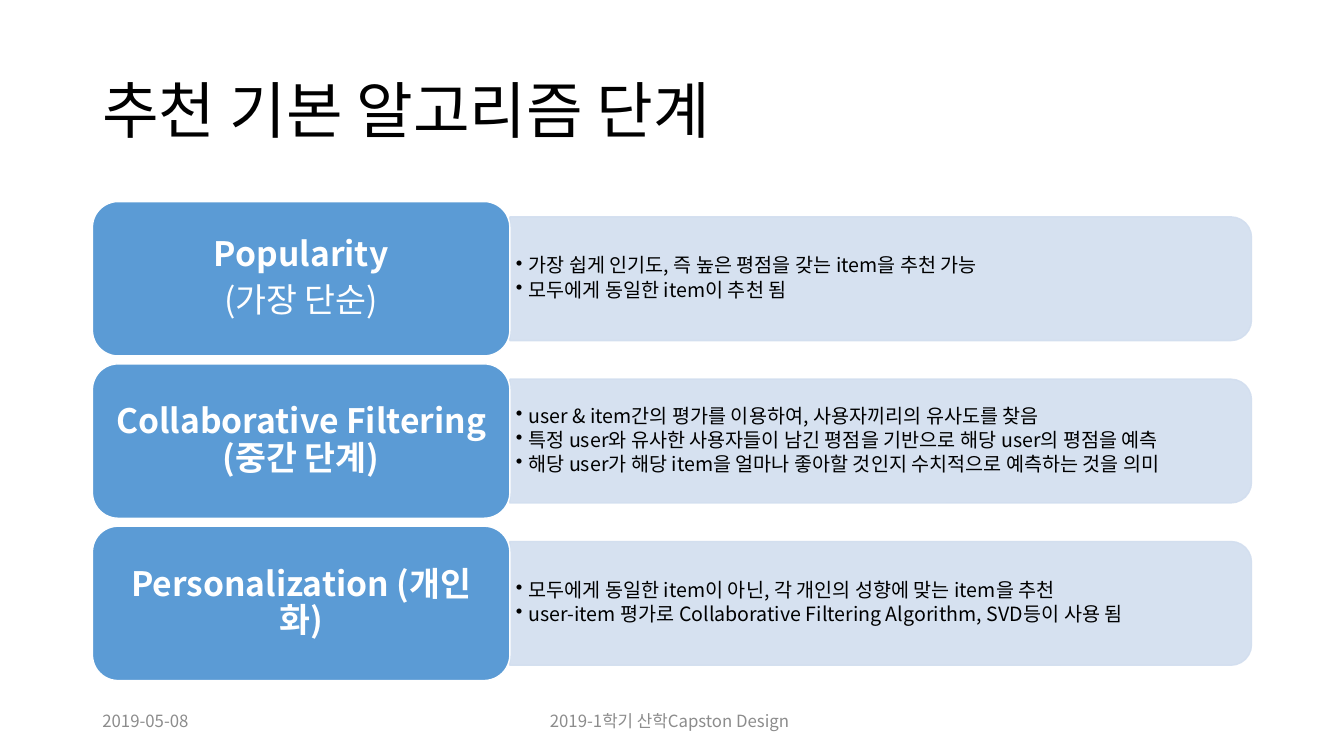
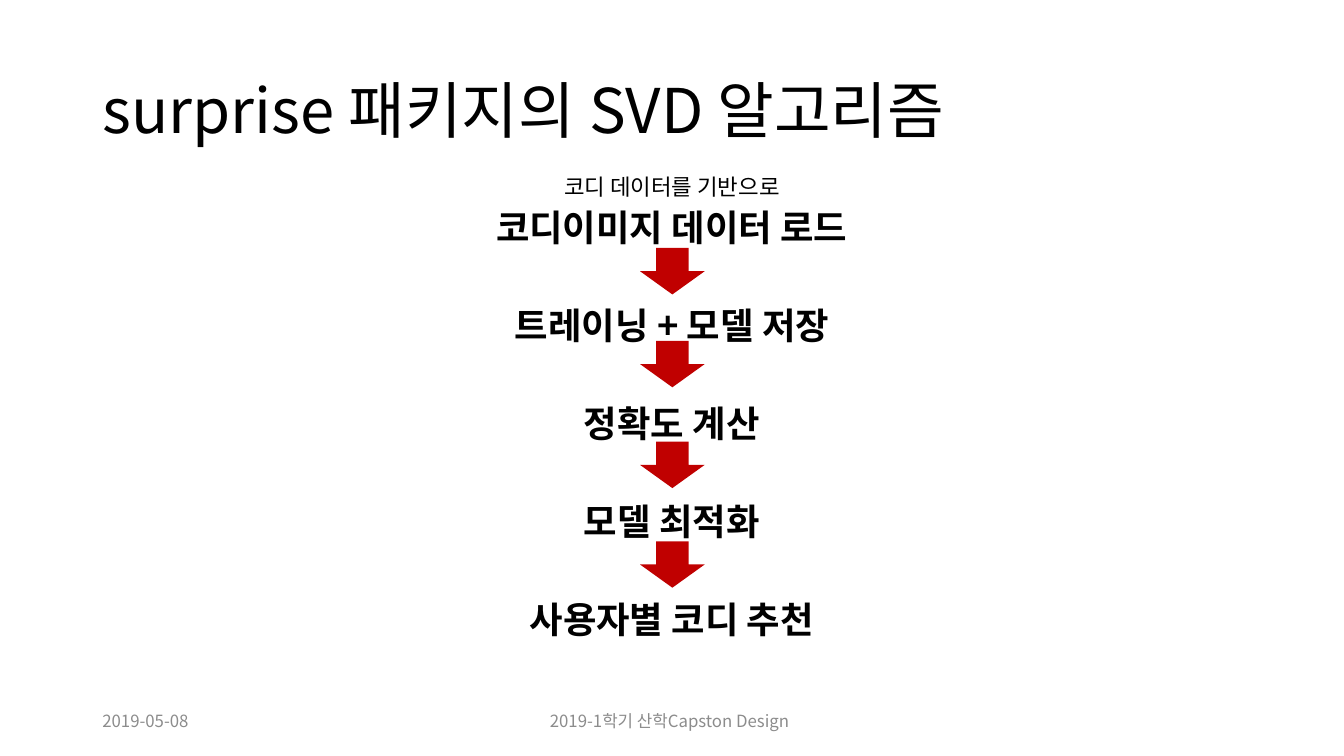
from lxml import etree
from pptx import Presentation
from pptx.dml.color import RGBColor
from pptx.enum.shapes import MSO_SHAPE as SHAPE
from pptx.enum.text import MSO_ANCHOR as ANCHOR, PP_ALIGN as ALIGN
from pptx.oxml.ns import qn
from pptx.util import Cm, Pt

BLACK = RGBColor(0x00, 0x00, 0x00)
WHITE = RGBColor(0xFF, 0xFF, 0xFF)
GRAY = RGBColor(0x8C, 0x8C, 0x8C)
BLUE = RGBColor(0x5B, 0x9B, 0xD5)
PALE = RGBColor(0xD2, 0xDE, 0xEF)
RED = RGBColor(0xC0, 0x00, 0x00)
FONT = "Noto Sans CJK KR"
LEFT, WIDTH = 2.33, 29.21


class Deck:
    """Style of the deck and the slide being built."""

    def __init__(self):
        self.prs = Presentation()
        self.prs.slide_width, self.prs.slide_height = Cm(33.87), Cm(19.05)
        self.s = None

    def slide(self, title):
        self.s = self.prs.slides.add_slide(self.prs.slide_layouts[6])
        tf = self.box(LEFT, 1.02, WIDTH, 3.68)
        self.para(tf, title, 44, spacing=0.9)
        # Footer
        self.para(self.box(LEFT, 17.65, 7.62, 1.02), "2019-05-08", 12, GRAY)
        tf = self.box(11.16, 17.65, 11.43, 1.02)
        self.para(tf, "2019-1학기 산학Capston Design", 12, GRAY, align=ALIGN.CENTER)

    def box(self, x, y, w, h, anchor=ANCHOR.MIDDLE):
        tf = self.s.shapes.add_textbox(Cm(x), Cm(y), Cm(w), Cm(h)).text_frame
        tf.word_wrap = True
        tf.vertical_anchor = anchor
        return tf

    def para(self, tf, text, size, color=BLACK, bold=False, align=ALIGN.LEFT,
             spacing=1.0, before=0, after=0):
        p = tf.paragraphs[0]
        if p.runs:
            p = tf.add_paragraph()
        p.alignment, p.line_spacing = align, spacing
        p.space_before, p.space_after = Pt(before), Pt(after)
        r = p.add_run()
        r.text = text
        r.font.size, r.font.bold, r.font.name = Pt(size), bold, FONT
        r.font.color.rgb = color
        # East Asian font and pair kerning
        rPr = r.font._element
        rPr.set("kern", "1200")
        etree.SubElement(rPr, qn("a:ea")).set("typeface", FONT)
        return p

    def bullet(self, tf, text):
        p = self.para(tf, text, 14, spacing=0.9, after=2.2)
        pPr = p._p.get_or_add_pPr()
        pPr.set("marL", str(Cm(0.32)))
        pPr.set("indent", str(-Cm(0.32)))
        etree.SubElement(pPr, qn("a:buChar")).set("char", "•")

    def shape(self, kind, x, y, w, h, fill, line=None, alpha=None):
        sp = self.s.shapes.add_shape(kind, Cm(x), Cm(y), Cm(w), Cm(h))
        sp.shadow.inherit = False
        sp.fill.solid()
        sp.fill.fore_color.rgb = fill
        if line is None:
            sp.line.fill.background()
        else:
            sp.line.color.rgb, sp.line.width = line, Pt(1)
        if alpha:
            for clr in sp._element.spPr.iter(qn("a:srgbClr")):
                etree.SubElement(clr, qn("a:alpha")).set("val", str(alpha * 1000))
        return sp

    def stage(self, y, labels, notes):
        """A blue label with a pale panel of bullets to its right."""
        label_w, label_h = 10.52, 3.89
        panel_w, panel_h = 18.69, 3.12
        x = LEFT + label_w
        mid = y + label_h / 2
        # Panel, turned so that its round corners face right
        sp = self.shape(SHAPE.ROUND_2_SAME_RECTANGLE, x + (panel_w - panel_h) / 2,
                        mid - panel_w / 2, panel_h, panel_w, PALE, PALE, 90)
        sp.rotation = 90
        tf = self.box(x, mid - 1.41, 18.54, 2.82)
        tf.margin_left = tf.margin_right = Cm(0.15)
        tf.margin_top = tf.margin_bottom = Cm(0.08)
        for note in notes:
            self.bullet(tf, note)
        # Label
        sp = self.shape(SHAPE.ROUNDED_RECTANGLE, LEFT, y, label_w, label_h, BLUE, WHITE)
        tf = sp.text_frame
        tf.word_wrap = True
        tf.vertical_anchor = ANCHOR.MIDDLE
        for i, label in enumerate(labels):
            self.para(tf, label, 24, WHITE, i == 0, ALIGN.CENTER, 0.9, after=7)


STAGES = [
    (["Popularity", "(가장 단순)"],
     ["가장 쉽게 인기도, 즉 높은 평점을 갖는 item을 추천 가능",
      "모두에게 동일한 item이 추천 됨"]),
    (["Collaborative Filtering (중간 단계)"],
     ["user & item간의 평가를 이용하여, 사용자끼리의 유사도를 찾음",
      "특정 user와 유사한 사용자들이 남긴 평점을 기반으로 해당 user의 평점을 예측",
      "해당 user가 해당 item을 얼마나 좋아할 것인지 수치적으로 예측하는 것을 의미"]),
    (["Personalization (개인화)"],
     ["모두에게 동일한 item이 아닌, 각 개인의 성향에 맞는 item을 추천",
      "user-item 평가로 Collaborative Filtering Algorithm, SVD등이 사용 됨"]),
]
STEPS = ["코디이미지 데이터 로드", "트레이닝 + 모델 저장", "정확도 계산",
         "모델 최적화", "사용자별 코디 추천"]
ARROW_TOPS = [6.25, 8.59, 11.13, 13.64]


def main():
    deck = Deck()

    # Stages of recommendation
    deck.slide("추천 기본 알고리즘 단계")
    for i, (labels, notes) in enumerate(STAGES):
        deck.stage(5.08 + 4.09 * i, labels, notes)

    # Flow of the SVD algorithm
    deck.slide("surprise 패키지의 SVD 알고리즘")
    tf = deck.box(LEFT, 4.37, WIDTH, 12.78, ANCHOR.TOP)
    deck.para(tf, "코디 데이터를 기반으로", 16, align=ALIGN.CENTER, spacing=0.8)
    for i, step in enumerate(STEPS):
        deck.para(tf, step, 26, bold=True, align=ALIGN.CENTER, spacing=0.8,
                  before=45 if i else 10)
    for top in ARROW_TOPS:
        deck.shape(SHAPE.DOWN_ARROW, 16.13, top, 1.63, 1.17, RED)

    deck.prs.save("out.pptx")


if __name__ == "__main__":
    main()
